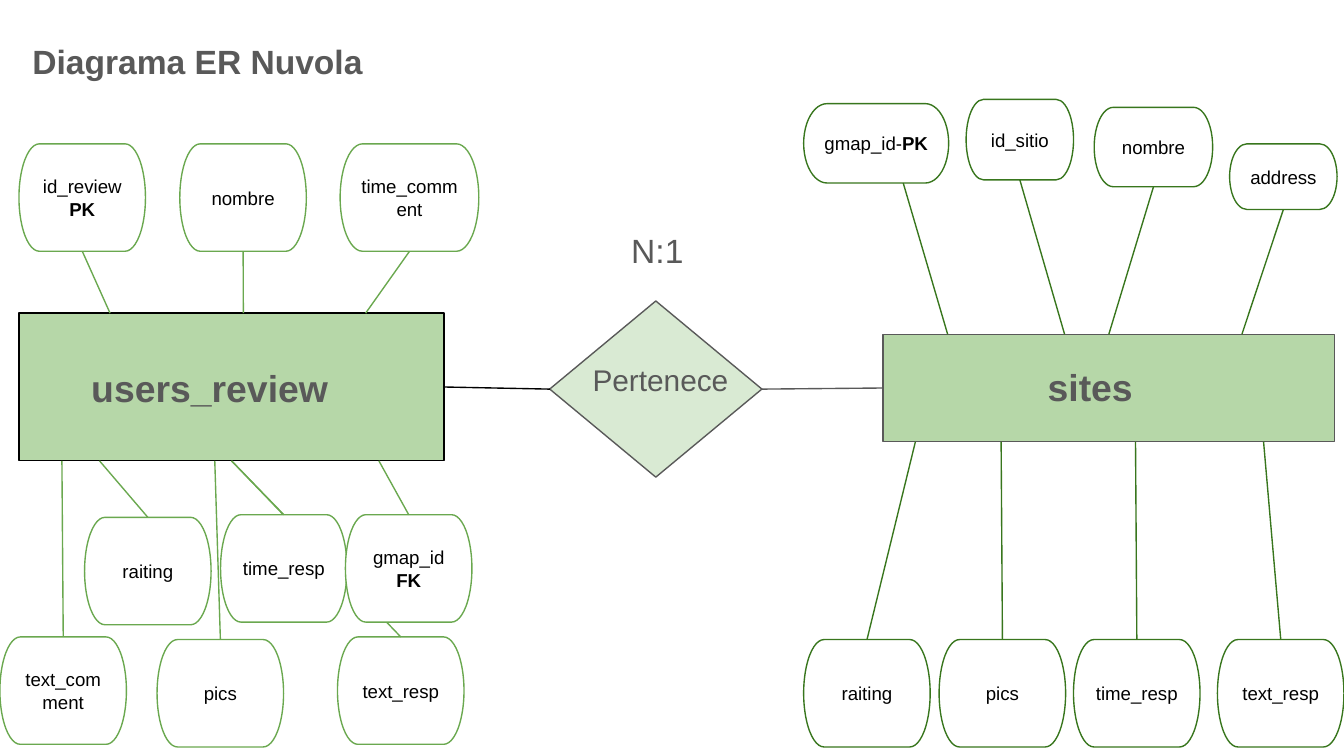
"""Build the entity-relationship diagram slide."""
from dataclasses import dataclass
from typing import Optional

from lxml import etree
from pptx import Presentation
from pptx.dml.color import RGBColor
from pptx.enum.shapes import MSO_CONNECTOR, MSO_SHAPE
from pptx.enum.text import MSO_ANCHOR, MSO_AUTO_SIZE, PP_ALIGN
from pptx.oxml.ns import qn
from pptx.util import Cm, Pt

RECTANGLE = MSO_SHAPE.RECTANGLE
DIAMOND = MSO_SHAPE.FLOWCHART_DECISION
TERMINATOR = MSO_SHAPE.FLOWCHART_TERMINATOR
STRAIGHT = MSO_CONNECTOR.STRAIGHT
LEFT, CENTER = PP_ALIGN.LEFT, PP_ALIGN.CENTER
TOP_ANCHOR, MIDDLE_ANCHOR = MSO_ANCHOR.TOP, MSO_ANCHOR.MIDDLE
NO_AUTOFIT = MSO_AUTO_SIZE.NONE
TITLE_ONLY = 5
TOP_SIDE, LEFT_SIDE, BOTTOM_SIDE, RIGHT_SIDE = range(4)

BLACK, WHITE, GRAY = "000000", "FFFFFF", "595959"
ENTITY_GREEN, RELATION_GREEN = "B6D7A8", "D9EAD3"
LIGHT_GREEN, DARK_GREEN = "6AA84F", "38761D"


@dataclass
class Entity:
    """A rectangle of the diagram with its outline colour."""
    left: float
    top: float
    width: float
    height: float
    outline: str


@dataclass
class Attribute:
    """An attribute; a missing root or tip means the middle of the side."""
    name: str
    left: float
    top: float
    root: Optional[float] = None
    width: float = 2.39
    height: float = 2.03
    key: str = ""
    tip: Optional[float] = None


@dataclass
class Label:
    """A free text with its place and size."""
    text: str
    left: float
    top: float
    width: float
    height: float
    size: int
    bold: bool = False
    align: PP_ALIGN = LEFT


USERS = Entity(0.36, 5.92, 8.03, 2.79, BLACK)
SITES = Entity(16.69, 6.32, 8.53, 2.03, GRAY)
RELATION = (10.39, 5.69, 4.01, 3.33)

USER_ATTRIBUTES = [
    Attribute("text_comment", 0, 12.04, 1.17),
    Attribute("pics", 2.97, 12.09, 4.06),
    Attribute("text_resp", 6.38, 12.04),
    Attribute("raiting", 1.6, 9.78, 1.88),
    Attribute("time_resp", 4.17, 9.73),
    Attribute("gmap_id", 6.53, 9.73, 7.16, key="FK"),
    Attribute("time_comment", 6.43, 2.72, 6.91, width=2.62),
    Attribute("nombre", 3.4, 2.72, 4.6),
    Attribute("id_review", 0.36, 2.72, 2.08, key="PK"),
]
SITE_ATTRIBUTES = [
    Attribute("raiting", 15.19, 12.09, 17.3),
    Attribute("pics", 17.75, 12.09, 18.92),
    Attribute("time_resp", 20.29, 12.09, 21.46),
    Attribute("text_resp", 23.01, 12.09, 23.88),
    Attribute("id_sitio", 18.26, 1.88, 20.12, 2.03, 1.52),
    Attribute("nombre", 20.68, 2.03, None, 2.24, 1.5),
    Attribute("address", 23.24, 2.72, 23.47, 2.03, 1.24),
    Attribute("gmap_id-", 15.19, 1.96, 17.91, 2.74, 1.5, "PK", 17.07),
]
TITLE = Label("Diagrama ER Nuvola", 0.36, 0.53, 7.01, 1.4, 18, True)
LABELS = [
    Label("Pertenece", 10.95, 6.58, 3.71, 1.14, 16),
    Label("N:1", 11.68, 4.09, 2.84, 1.14, 18),
    Label("sites", 17.86, 6.63, 5.49, 2.39, 20, True, CENTER),
    Label("users_review", 1.22, 6.65, 5.49, 0.99, 20, True, CENTER),
]


def color(value: str) -> RGBColor:
    """Turn a hex string into a colour."""
    return RGBColor.from_string(value)


def apply(target, **values) -> None:
    """Set every given attribute on the target."""
    for name, value in values.items():
        setattr(target, name, value)


def format_frame(frame, anchor: MSO_ANCHOR) -> None:
    """Give a text frame its margins, wrapping and anchor."""
    margins = {f"margin_{side}": Cm(0.25) for side in ("left", "top", "right", "bottom")}
    apply(frame, word_wrap=True, auto_size=NO_AUTOFIT, vertical_anchor=anchor, **margins)


def add_span(para, text: str, size: int, shade: str, bold: bool = False) -> None:
    """Append a formatted run to a paragraph."""
    span = para.add_run()
    span.text = text
    apply(span.font, name="Arial", size=Pt(size), bold=bold)
    span.font.color.rgb = color(shade)


def fill_label(box, label: Label) -> None:
    """Place a label's box and write its text."""
    apply(box, left=Cm(label.left), top=Cm(label.top),
          width=Cm(label.width), height=Cm(label.height))
    format_frame(box.text_frame, TOP_ANCHOR)
    para = box.text_frame.paragraphs[0]
    para.alignment = label.align
    add_span(para, label.text, label.size, GRAY, label.bold)


def add_box(page, kind: MSO_SHAPE, place: tuple, fill: str, outline: str):
    """Draw a filled and outlined preset shape."""
    box = page.shapes.add_shape(kind, *map(Cm, place))
    box.shadow.inherit = False
    box.fill.solid()
    box.fill.fore_color.rgb = color(fill)
    box.line.color.rgb = color(outline)
    box.line.width = Pt(0.75)
    return box


def add_entity(page, entity: Entity):
    """Draw an entity rectangle."""
    place = (entity.left, entity.top, entity.width, entity.height)
    return add_box(page, RECTANGLE, place, ENTITY_GREEN, entity.outline)


def add_link(page, first, first_side: int, second, second_side: int, shade: str,
             start: tuple = (0, 0), end: tuple = (0, 0),
             join_start: bool = True, join_end: bool = True) -> None:
    """Draw a line, joined to the sides of its shapes where asked."""
    link = page.shapes.add_connector(STRAIGHT, *map(Cm, start + end))
    if join_start:
        link.begin_connect(first, first_side)
    if join_end:
        link.end_connect(second, second_side)
    link.line.color.rgb = color(shade)
    link.line.width = Pt(0.75)
    etree.SubElement(link.line._get_or_add_ln().getparent(), qn("a:effectLst"))


def add_attribute(page, entity: Entity, owner, item: Attribute, shade: str) -> None:
    """Draw an attribute and its line to the owning entity."""
    place = (item.left, item.top, item.width, item.height)
    box = add_box(page, TERMINATOR, place, WHITE, shade)
    frame = box.text_frame
    format_frame(frame, MIDDLE_ANCHOR)
    para = frame.paragraphs[0]
    para.alignment = CENTER
    add_span(para, item.name, 10, BLACK)
    if item.key:
        if not item.name.endswith("-"):
            para = frame.add_paragraph()
            para.alignment = CENTER
        add_span(para, item.key, 10, BLACK, True)
    if item.top > entity.top:
        sides, edges = (BOTTOM_SIDE, TOP_SIDE), (entity.top + entity.height, item.top)
    else:
        sides, edges = (TOP_SIDE, BOTTOM_SIDE), (entity.top, item.top + item.height)
    add_link(page, owner, sides[0], box, sides[1], shade,
             (item.root or 0, edges[0]), (item.tip or 0, edges[1]),
             item.root is None, item.tip is None)


def main() -> None:
    """Assemble and save the slide."""
    deck = Presentation()
    apply(deck, slide_width=Cm(25.4), slide_height=Cm(14.29))
    page = deck.slides.add_slide(deck.slide_layouts[TITLE_ONLY])
    fill_label(page.shapes.title, TITLE)
    users, sites = add_entity(page, USERS), add_entity(page, SITES)
    relation = add_box(page, DIAMOND, RELATION, RELATION_GREEN, GRAY)
    add_link(page, users, RIGHT_SIDE, relation, LEFT_SIDE, BLACK)
    add_link(page, relation, RIGHT_SIDE, sites, LEFT_SIDE, GRAY)
    for entity, owner, items, shade in (
        (USERS, users, USER_ATTRIBUTES, LIGHT_GREEN),
        (SITES, sites, SITE_ATTRIBUTES, DARK_GREEN),
    ):
        for item in items:
            add_attribute(page, entity, owner, item, shade)
    for label in LABELS:
        fill_label(page.shapes.add_textbox(0, 0, 0, 0), label)
    deck.save("out.pptx")


if __name__ == "__main__":
    main()
